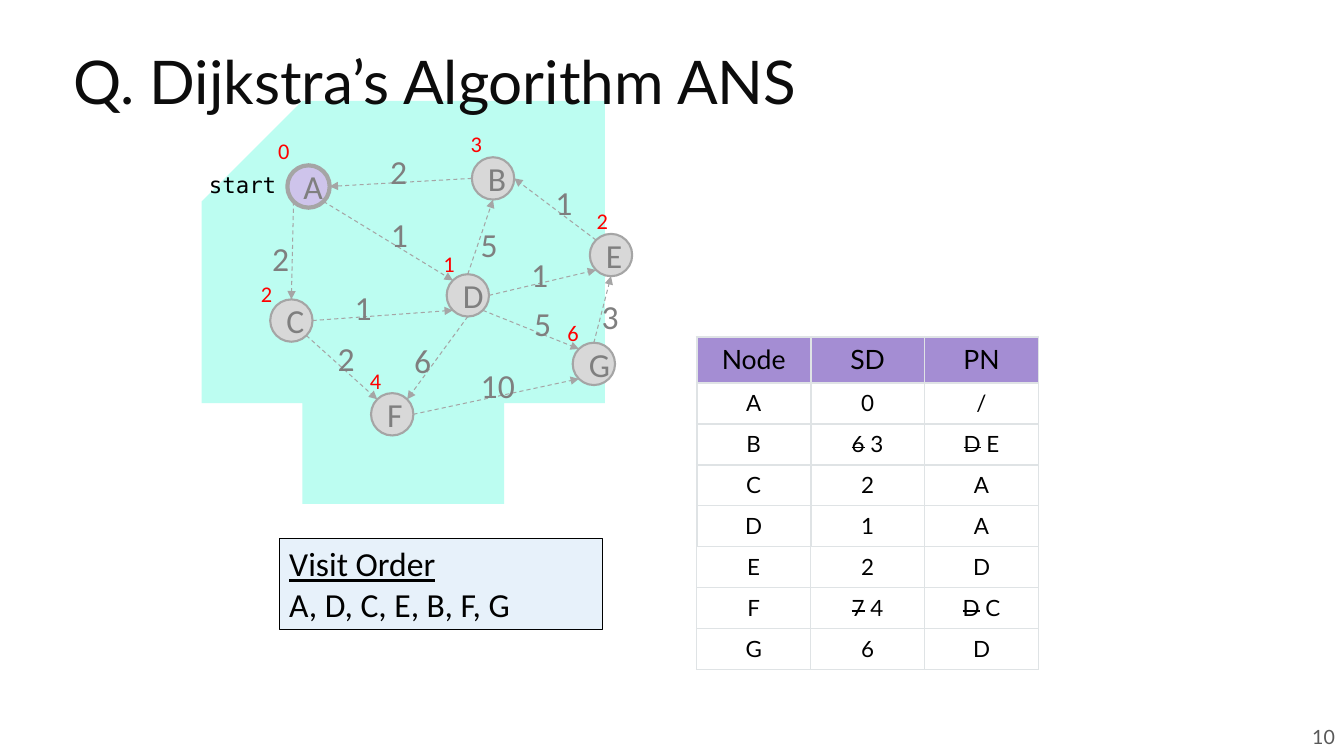
import math
from dataclasses import dataclass

import pptx
import pptx.dml.color
import pptx.enum.dml
import pptx.enum.shapes
import pptx.enum.text
import pptx.oxml.ns
import pptx.util
from lxml import etree
from pptx.util import Inches

SHAPE = pptx.enum.shapes.MSO_SHAPE
ALIGN = pptx.enum.text.PP_ALIGN
ANCHOR = pptx.enum.text.MSO_ANCHOR
qn = pptx.oxml.ns.qn


@dataclass(frozen=True)
class Theme:
    black: str = "000000"
    title: str = "0C0C0C"
    page: str = "595959"
    gray: str = "7F7F7F"
    edge: str = "A5A5A5"
    red: str = "FF0000"
    white: str = "FFFFFF"
    head: str = "A48DD3"
    grid: str = "DFE3E5"
    cloud: str = "BCFDF1"
    note: str = "E7F1FA"
    node: str = "D8D8D8"
    start: str = "CEC4EB"
    lato: str = "Lato"
    body: str = "Calibri"
    mono: str = "DejaVu Sans Mono"
    huge: int = 43
    big: int = 24
    mid: int = 19
    small: int = 16
    tiny: int = 14


T = Theme()

SIZE = 0.42  # node diameter
NODES = {"A": (2.85, 1.64), "B": (4.68, 1.56), "C": (2.68, 2.97), "D": (4.43, 2.72),
         "F": (3.68, 3.9), "E": (5.85, 2.32), "G": (5.68, 3.4)}

# From, site, to, site: sites run counterclockwise from the top, 45 degrees apart
EDGES = ["A3C0", "B2A6", "D0B4", "A5D1", "C6D3", "D6E3",
         "E1B6", "C5F1", "D4F7", "D5G1", "G0E4", "F6G3"]

COSTS = [("2", 3.77, 1.45), ("1", 3.78, 2.07), ("2", 2.6, 2.31), ("5", 4.67, 2.17),
         ("1", 3.42, 2.8), ("1", 5.17, 2.47), ("1", 5.41, 1.76), ("2", 3.25, 3.3),
         ("6", 4.01, 3.32), ("5", 5.2, 2.96), ("3", 5.87, 2.89), ("10", 4.67, 3.57)]

DISTS = [("0", 2.66, 1.31), ("3", 4.57, 1.24), ("2", 5.82, 2.01), ("6", 5.53, 3.12),
         ("1", 4.3, 2.43), ("2", 2.49, 2.73), ("4", 3.57, 3.59)]

# Below the head, each letter or digit is a value; all but the last are struck out
ROWS = [("Node", "SD", "PN"), ("A", "0", "/"), ("B", "63", "DE"), ("C", "2", "A"),
        ("D", "1", "A"), ("E", "2", "D"), ("F", "74", "DC"), ("G", "6", "D")]

CLOUD = [(5.27, 1.38), (5.19, 1.37), (5.09, 1.3), (4.96, 1.23), (4.81, 1.18), (4.68, 1.17),
         (4.49, 1.18), (4.24, 1.22), (4.01, 1.24), (3.4, 1.23), (3.21, 1.2), (2.84, 1.21),
         (2.72, 1.27), (2.59, 1.35), (2.52, 1.4), (2.45, 1.53), (2.4, 1.65), (2.37, 1.78),
         (2.35, 2.02), (2.34, 2.27), (2.32, 2.84), (2.33, 3.35), (2.36, 3.45), (2.44, 3.65),
         (2.55, 3.83), (2.64, 3.95), (2.8, 4.12), (2.93, 4.23), (3.06, 4.34), (3.17, 4.41),
         (3.28, 4.47), (3.44, 4.52), (3.52, 4.54), (3.76, 4.56), (4.03, 4.57), (4.28, 4.59),
         (4.69, 4.57), (4.87, 4.53), (5.01, 4.48), (5.2, 4.39), (5.39, 4.3), (5.53, 4.26),
         (5.69, 4.2), (5.84, 4.13), (6, 4.04), (6.11, 3.93), (6.16, 3.82), (6.21, 3.71),
         (6.27, 3.62), (6.35, 3.47), (6.43, 3.24), (6.45, 3.11), (6.44, 2.36), (6.39, 2.21),
         (6.34, 2.1), (6.24, 1.98), (6.13, 1.85), (6.05, 1.78), (5.96, 1.71), (5.86, 1.67),
         (5.74, 1.61), (5.65, 1.54), (5.53, 1.48), (5.41, 1.43), (5.3, 1.39)]


def rgb(code):
    return pptx.dml.color.RGBColor.from_string(code)


def add_run(para, text, size, color, font=T.body, under=False, strike=False):
    run = para.add_run()
    run.text = text
    run.font.size = pptx.util.Pt(size)
    run.font.name = font
    run.font.color.rgb = rgb(color)
    if under:
        run.font.underline = True
    if strike:
        run._r.get_or_add_rPr().set("strike", "sngStrike")


def set_pad(frame, side, top):
    frame.margin_left = frame.margin_right = Inches(side)
    frame.margin_top = frame.margin_bottom = Inches(top)


def set_fill(item, color):
    item.fill.solid()
    item.fill.fore_color.rgb = rgb(color)


def add_text(slide, box, text, size, color, font=T.body, align=ALIGN.LEFT,
             anchor=ANCHOR.TOP, pad=(0.1, 0.05)):
    frame = slide.shapes.add_textbox(*map(Inches, box)).text_frame
    frame.word_wrap = True
    frame.vertical_anchor = anchor
    set_pad(frame, *pad)
    para = frame.paragraphs[0]
    para.alignment = align
    add_run(para, text, size, color, font)
    return para


def add_form(slide, kind, box, fill, line, width):
    shape = slide.shapes.add_shape(kind, *map(Inches, box))
    shape.shadow.inherit = False
    set_fill(shape, fill)
    shape.line.color.rgb = rgb(line)
    shape.line.width = pptx.util.Pt(width)
    return shape


def add_cloud(slide):
    pen = slide.shapes.build_freeform(*CLOUD[0], scale=Inches(1))
    pen.add_line_segments(CLOUD[1:], close=True)
    shape = pen.convert_to_shape()
    shape.shadow.inherit = False
    set_fill(shape, T.cloud)
    shape.line.fill.background()


def add_node(slide, name):
    fill, width = (T.start, 3) if name == "A" else (T.node, 1.5)
    shape = add_form(slide, SHAPE.OVAL, (*NODES[name], SIZE, SIZE), fill, T.edge, width)
    para = shape.text_frame.paragraphs[0]
    para.alignment = ALIGN.CENTER
    add_run(para, name, T.big, T.gray)


def find_site(name, site):
    left, top = NODES[name]
    turn = math.radians(45 * int(site))
    half = SIZE / 2
    return Inches(left + half - half * math.sin(turn)), Inches(top + half - half * math.cos(turn))


def add_edge(slide, edge):
    ends = find_site(*edge[:2]) + find_site(*edge[2:])
    link = slide.shapes.add_connector(pptx.enum.shapes.MSO_CONNECTOR.STRAIGHT, *ends)
    link.line.color.rgb = rgb(T.edge)
    link.line.width = pptx.util.Pt(0.75)
    link.line.dash_style = pptx.enum.dml.MSO_LINE.DASH
    props = link._element.spPr
    etree.SubElement(props.find(qn("a:ln")), qn("a:tailEnd"), type="triangle")
    etree.SubElement(props, qn("a:effectLst"))


def set_edge(cell, side, width):
    line = etree.SubElement(cell._tc.get_or_add_tcPr(), qn("a:ln" + side),
                            w=str(pptx.util.Pt(width)))
    fill = etree.SubElement(line, qn("a:solidFill"))
    etree.SubElement(fill, qn("a:srgbClr"), val=T.grid)


def fill_cell(cell, values, row):
    for side in "LRTB":
        thick = row < 5 or (row == 5 and side == "T")
        set_edge(cell, side, 1.5 if thick else 1)
    set_fill(cell, T.white if row else T.head)
    cell.vertical_anchor = ANCHOR.MIDDLE
    set_pad(cell, 0.07, 0.07)
    para = cell.text_frame.paragraphs[0]
    para.alignment = ALIGN.CENTER
    size = T.small if row else T.mid
    for old in values[:-1]:
        add_run(para, old, size, T.black, T.lato, strike=True)
    last = " " + values[-1] if values[:-1] else values[-1]
    add_run(para, last, size, T.black, T.lato)


def add_grid(slide):
    box = map(Inches, (6.91, 3.34, 3.39, 3.24))
    table = slide.shapes.add_table(len(ROWS), 3, *box).table
    for col in table.columns:
        col.width = Inches(1.13)
    for r, row in enumerate(ROWS):
        table.rows[r].height = Inches(0.4 if r else 0.44)
        for c, text in enumerate(row):
            fill_cell(table.cell(r, c), text if r else [text], r)


def add_note(slide):
    shape = add_form(slide, SHAPE.RECTANGLE, (2.77, 5.34, 3.21, 0.91), T.note, T.black, 0.75)
    frame = shape.text_frame
    frame.vertical_anchor = ANCHOR.TOP
    first, second = frame.paragraphs[0], frame.add_paragraph()
    first.alignment = second.alignment = ALIGN.LEFT
    add_run(first, "Visit Order", T.big, T.black, under=True)
    add_run(second, "A, D, C, E, B, F, G", T.big, T.black)


def main():
    deck = pptx.Presentation()
    deck.slide_width, deck.slide_height = Inches(13.33), Inches(7.5)
    slide = deck.slides.add_slide(deck.slide_layouts[6])

    # Page number, table and backdrop
    add_text(slide, (12.71, 7.09, 0.63, 0.43), "10", T.tiny, T.page, T.lato,
             ALIGN.RIGHT, ANCHOR.MIDDLE, (0.1, 0.1))
    add_grid(slide)
    add_cloud(slide)

    # Title and visit order
    title = add_text(slide, (0.63, 0.29, 12.23, 1.11), "Q. Dijkstra’s Algorithm ANS",
                     T.huge, T.title, T.lato, anchor=ANCHOR.MIDDLE)
    title.line_spacing = 0.9
    add_note(slide)

    # Graph
    for name in NODES:
        add_node(slide, name)
    for edge in EDGES:
        add_edge(slide, edge)
    for text, left, top in COSTS:
        add_text(slide, (left, top, 0.2 + 0.17 * len(text), 0.5), text, T.big, T.gray)
    for text, left, top in DISTS:
        add_text(slide, (left, top, 0.32, 0.37), text, T.small, T.red)
    add_text(slide, (1.81, 1.57, 1.06, 0.52), "start", T.small, T.black, T.mono,
             ALIGN.RIGHT, pad=(0.13, 0.13))

    deck.save("out.pptx")


if __name__ == "__main__":
    main()
